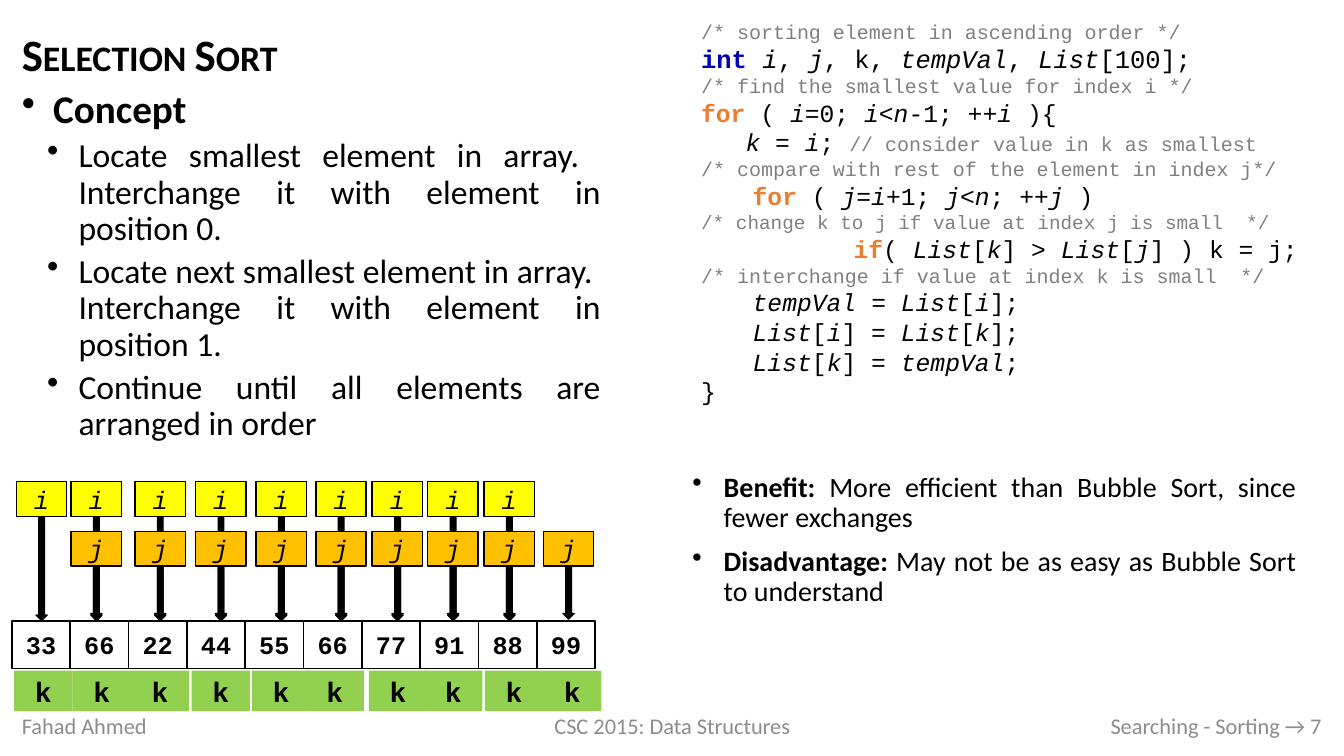
from lxml import etree
from pptx import Presentation
from pptx import util as u
from pptx.dml.color import RGBColor
from pptx.enum import shapes, text
from pptx.oxml.ns import qn

BLACK = RGBColor(0x00, 0x00, 0x00)
WHITE = RGBColor(0xFF, 0xFF, 0xFF)
COMMENT_GRAY = RGBColor(0x80, 0x80, 0x80)
FOOTER_GRAY = RGBColor(0x8C, 0x8C, 0x8C)
TYPE_BLUE = RGBColor(0x00, 0x00, 0xB0)
KEYWORD_ORANGE = RGBColor(0xED, 0x7D, 0x31)
I_YELLOW = RGBColor(0xFF, 0xFF, 0x00)
J_ORANGE = RGBColor(0xFF, 0xC0, 0x00)
K_GREEN = RGBColor(0x92, 0xD0, 0x50)

BODY_FONT = "Calibri"
CODE_FONT = "Courier New"

presentation = Presentation()
presentation.slide_width = u.Cm(33.87)
presentation.slide_height = u.Cm(19.05)
slide = presentation.slides.add_slide(presentation.slide_layouts[6])


def add_text_box(left, top, width, height, anchor=text.MSO_ANCHOR.TOP):
    box = slide.shapes.add_textbox(u.Cm(left), u.Cm(top), u.Cm(width), u.Cm(height))
    box.text_frame.word_wrap = True
    box.text_frame.vertical_anchor = anchor
    return box.text_frame


def add_block(kind, left, top, width, height, fill, label="", size=18, italic=False):
    shape = slide.shapes.add_shape(kind, u.Cm(left), u.Cm(top), u.Cm(width), u.Cm(height))
    shape.shadow.inherit = False
    shape.fill.solid()
    shape.fill.fore_color.rgb = fill
    shape.line.color.rgb = BLACK
    shape.line.width = u.Pt(1)
    if label:
        paragraph = shape.text_frame.paragraphs[0]
        paragraph.text = label
        paragraph.alignment = text.PP_ALIGN.CENTER
        paragraph.font.name = CODE_FONT
        paragraph.font.size = u.Pt(size)
        paragraph.font.bold = not italic
        paragraph.font.italic = italic
        paragraph.font.color.rgb = BLACK
    return shape


title = add_text_box(0.3, 0.36, 14.35, 1.8, text.MSO_ANCHOR.BOTTOM).paragraphs[0]
title.line_spacing = 0.9
title_run = title.add_run()
title_run.text = "Selection Sort"
title_run.font.name = BODY_FONT
title_run.font.size = u.Pt(32)
title_run.font.bold = True
title_run.font.color.rgb = BLACK
title_run.font._element.set("cap", "small")

# Underscores toggle italics
code_lines = [
    (0, 14.3, "", "", "/* sorting element in ascending order */"),
    (0, 18.2, "int ", "_i_, _j_, k, _tempVal_, _List_[100];", ""),
    (0, 14.3, "", "", "/* find the smallest value for index i */"),
    (0, 17.6, "for ", "( _i_=0; _i_<_n_-1; ++_i _){", ""),
    (1.12, 17.6, "", "_k_ = _i_; ", "// consider value in k as smallest"),
    (0, 14.3, "", "", "/* compare with rest of the element in index j*/"),
    (1.3, 17.6, "for", " ( _j_=_i_+1; _j_<_n_; ++_j _)", ""),
    (0, 13.8, "", "", "/* change k to j if value at index j is small  */"),
    (3.84, 17.6, "if", "( _List_[_k_] > _List_[_j_] ) k = j;", ""),
    (0, 14.3, "", "", "/* interchange if value at index k is small  */"),
    (1.3, 17.6, "", "_tempVal _= _List_[_i_];", ""),
    (1.3, 17.6, "", "_List_[_i_] = _List_[_k_];", ""),
    (1.3, 17.6, "", "_List_[_k_] = _tempVal_;", ""),
    (0, 17.6, "", "}", ""),
]
code_frame = add_text_box(17.42, 0.36, 15.9, 11.05)
for number, (indent, size, keyword, code, comment) in enumerate(code_lines):
    paragraph = code_frame.add_paragraph() if number else code_frame.paragraphs[0]
    paragraph._p.get_or_add_pPr().set("marL", str(u.Cm(indent)))
    keyword_color = TYPE_BLUE if keyword == "int " else KEYWORD_ORANGE
    pieces = [(keyword, size, keyword_color, True, False)]
    for position, piece in enumerate(code.split("_")):
        pieces.append((piece, size, BLACK, False, position % 2 == 1))
    pieces.append((comment, min(size, 14.3), COMMENT_GRAY, False, False))
    for piece, piece_size, color, bold, italic in pieces:
        if piece:
            run = paragraph.add_run()
            run.text = piece
            run.font.name = CODE_FONT
            run.font.size = u.Pt(piece_size)
            run.font.color.rgb = color
            run.font.bold = bold
            run.font.italic = italic

concept_frame = add_text_box(0.3, 2.13, 15.09, 15.62)
benefit_frame = add_text_box(17.2, 11.79, 15.72, 3.68)
bullets = [
    (concept_frame, 0, 28, 10, "Concept", ""),
    (concept_frame, 1, 24, 5, "",
     "Locate smallest element in array.  Interchange it with element in position 0."),
    (concept_frame, 1, 24, 5, "",
     "Locate next smallest element in array.  Interchange it with element in position 1."),
    (concept_frame, 1, 24, 5, "", "Continue until all elements are arranged in order"),
    (benefit_frame, 0, 20, 10, "Benefit: ",
     "More efficient than Bubble Sort, since fewer exchanges"),
    (benefit_frame, 0, 20, 10, "Disadvantage: ",
     "May not be as easy as Bubble Sort to understand"),
]
for frame, level, size, space, lead, body in bullets:
    paragraph = frame.paragraphs[0]
    if paragraph.runs:
        paragraph = frame.add_paragraph()
    paragraph.level = level
    paragraph.alignment = text.PP_ALIGN.JUSTIFY
    paragraph.line_spacing = 0.9
    paragraph.space_before = u.Pt(space)
    paragraph.font.name = BODY_FONT
    paragraph.font.size = u.Pt(size)
    paragraph.font.color.rgb = BLACK
    for piece, bold in ((lead, True), (body, False)):
        if piece:
            run = paragraph.add_run()
            run.text = piece
            run.font.bold = bold
    properties = paragraph._p.get_or_add_pPr()
    properties.set("marL", str(u.Cm(0.79 + 0.64 * level)))
    properties.set("indent", str(-u.Cm(0.79)))
    bullet = etree.Element(qn("a:buChar"), char="•")
    properties.find(qn("a:defRPr")).addprevious(bullet)

footers = [
    (0.3, 7.62, text.PP_ALIGN.LEFT, "Fahad Ahmed"),
    (11.23, 11.43, text.PP_ALIGN.CENTER, "CSC 2015: Data Structures"),
    (23.93, 9.63, text.PP_ALIGN.RIGHT, "Searching - Sorting → 7"),
]
for left, width, alignment, wording in footers:
    paragraph = add_text_box(left, 17.77, width, 1.02, text.MSO_ANCHOR.MIDDLE).paragraphs[0]
    paragraph.text = wording
    paragraph.alignment = alignment
    paragraph.font.name = BODY_FONT
    paragraph.font.size = u.Pt(16)
    paragraph.font.color.rgb = FOOTER_GRAY

RECTANGLE = shapes.MSO_SHAPE.RECTANGLE
DOWN_ARROW = shapes.MSO_SHAPE.DOWN_ARROW
CELL_WIDTH = 1.47

for index, value in enumerate([33, 66, 22, 44, 55, 66, 77, 91, 88, 99]):
    add_block(RECTANGLE, 0.3 + CELL_WIDTH * index, 15.65, CELL_WIDTH, 1.19, WHITE, str(value))

pointer_lefts = [0.41, 1.79, 3.4, 4.93, 6.45, 7.96, 9.38, 10.78, 12.2, 13.69]
pointer_rows = [
    ("i", pointer_lefts[:-1], 12.13, 0.89, I_YELLOW, 12.97, 2.67),
    ("j", pointer_lefts[1:], 13.4, 0.86, J_ORANGE, 13.92, 1.68),
]
for label, lefts, top, height, fill, arrow_top, arrow_height in pointer_rows:
    for left in lefts:
        add_block(DOWN_ARROW, left + 0.5, arrow_top, 0.28, arrow_height, BLACK)
        add_block(RECTANGLE, left, top, 1.27, height, fill, label, italic=True)

for left in [0.36, 1.83, 3.3, 4.83, 6.35, 7.7, 9.3, 10.69, 12.22, 13.69]:
    marker = add_block(RECTANGLE, left, 16.9, CELL_WIDTH, 1.02, K_GREEN, "k", 20)
    marker.line.fill.background()

presentation.save("out.pptx")
